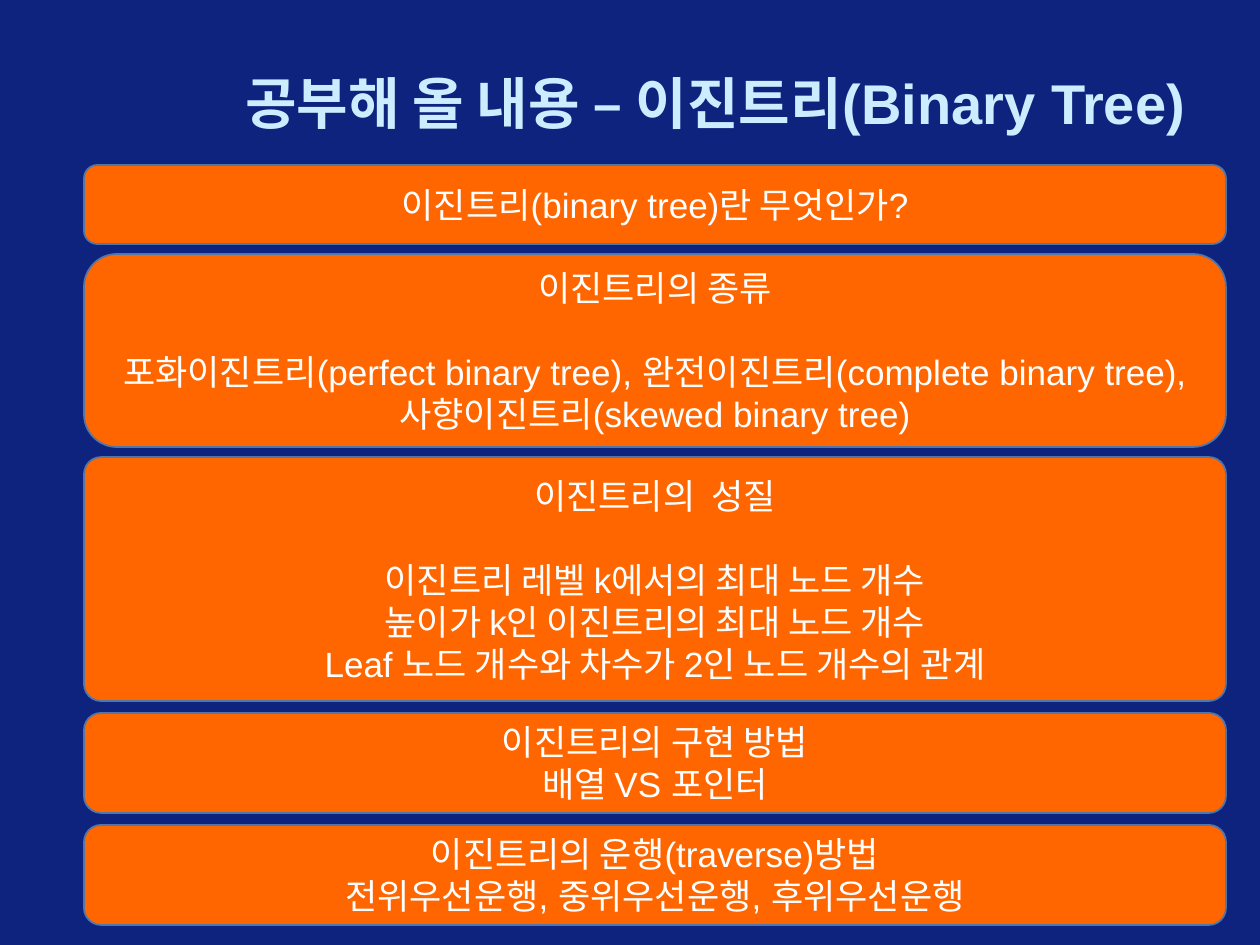
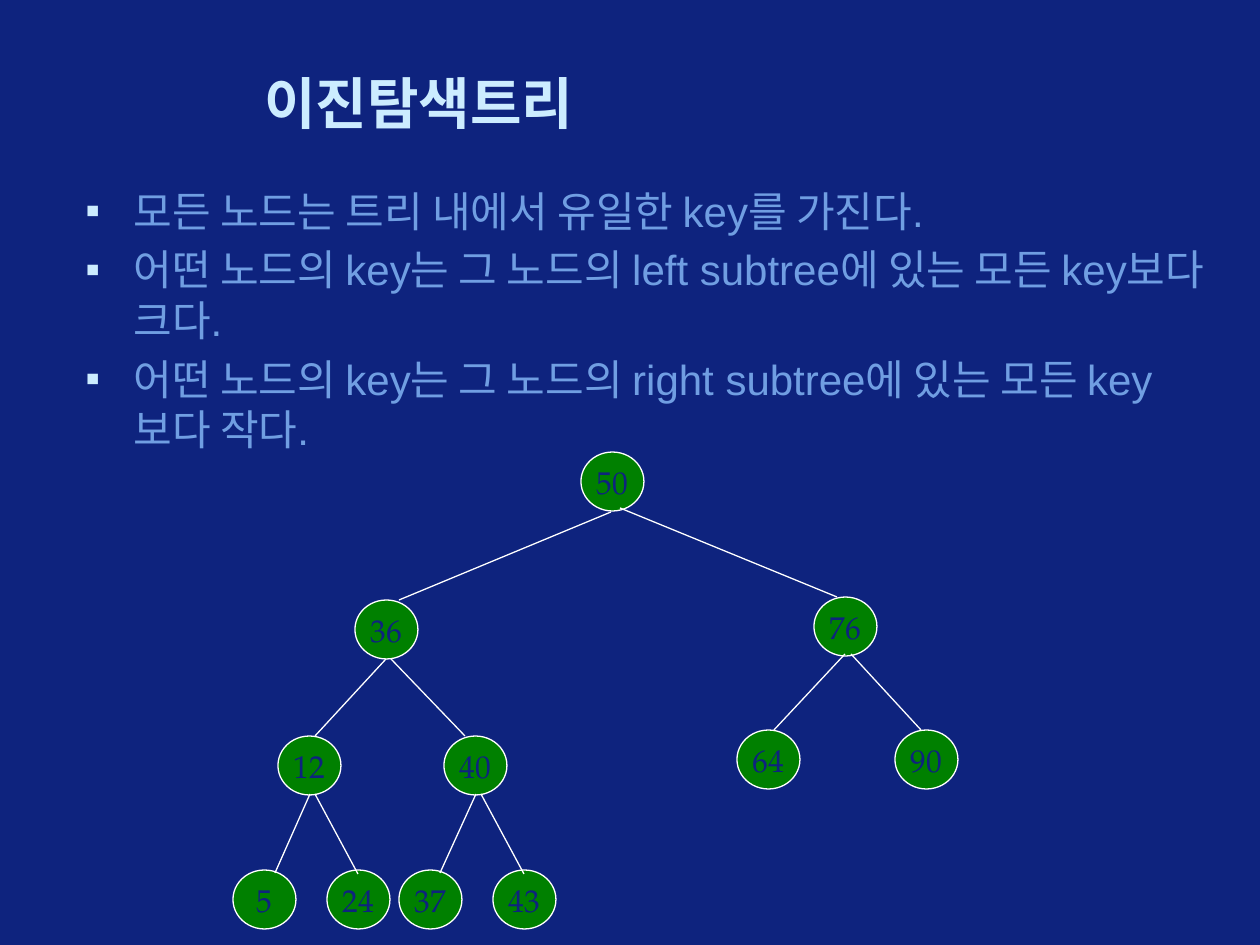
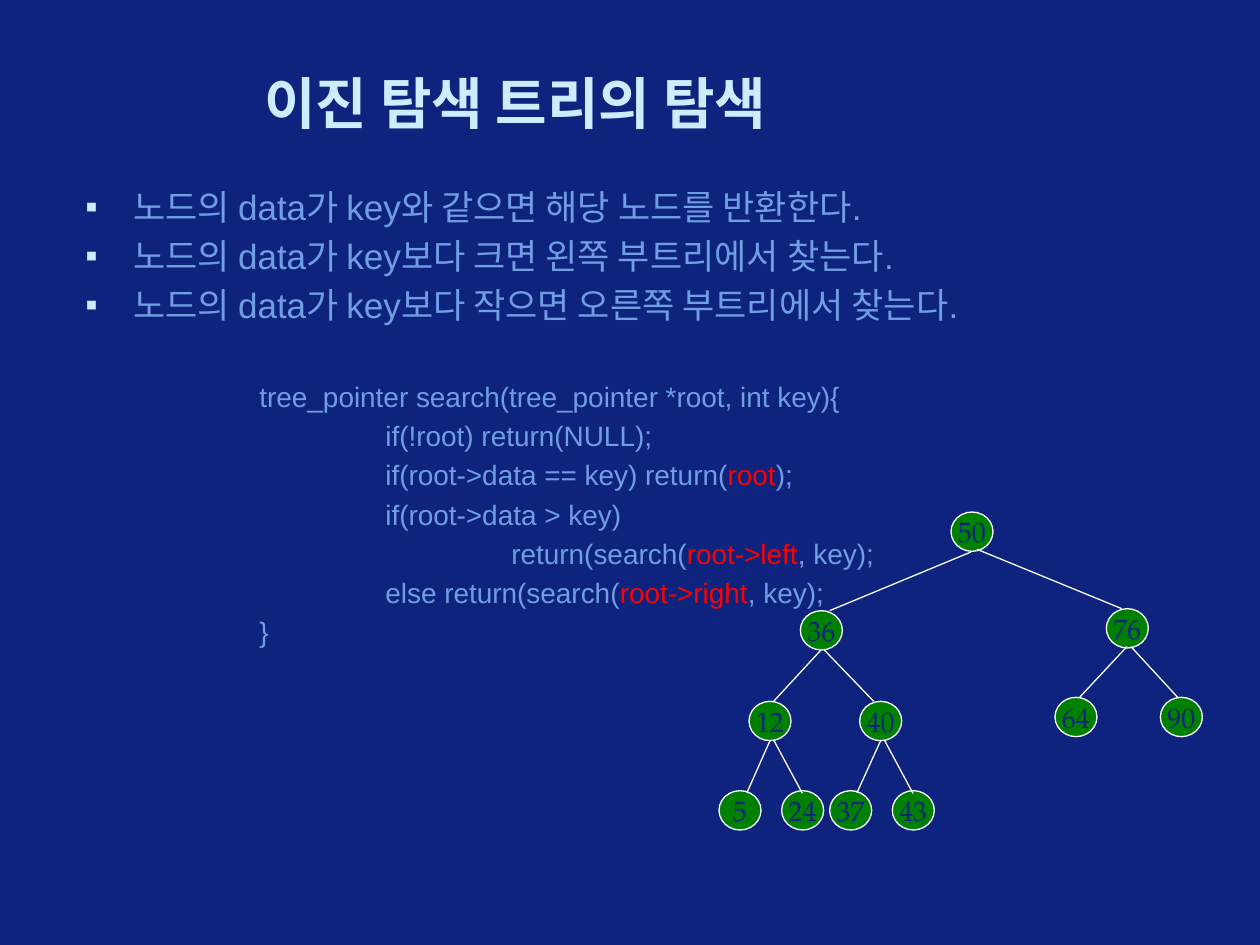
from lxml.etree import SubElement
from pptx import Presentation
from pptx.dml.color import RGBColor
from pptx.enum.shapes import MSO_CONNECTOR as Connector, MSO_SHAPE as Shape
from pptx.enum.text import MSO_ANCHOR as Anchor, PP_ALIGN as Align
from pptx.oxml.ns import qn
from pptx.util import Pt

# Shared look
NAVY, ICE, SKY = "0E237E", "CCECFF", "709EE2"
ORANGE, BOX_LINE = "FF6600", "5375A7"
GREEN, WHITE, RED = "008000", "FFFFFF", "FF0000"
SANS, SERIF = "Arial", "TeX Gyre Pagella"
color = RGBColor.from_string


def px(pixels):
    return round(pixels * 914400 / 126)


def add_run(paragraph, text, size, hex_color, font=SANS, bold=False):
    run = paragraph.add_run()
    run.text = text
    run.font.name = font
    run.font.size = Pt(size)
    run.font.bold = bold
    run.font.color.rgb = color(hex_color)


presentation = Presentation()
presentation.slide_width, presentation.slide_height = px(1260), px(945)

# Backgrounds and titles: text, left, width
titles = [
    ("공부해 올 내용 – 이진트리(Binary Tree)", 233, 1003),
    ("이진탐색트리", 252, 955),
    ("이진 탐색 트리의 탐색", 252, 955),
]
slides = []
for text, left, width in titles:
    slide = presentation.slides.add_slide(presentation.slide_layouts[6])
    slide.background.fill.solid()
    slide.background.fill.fore_color.rgb = color(NAVY)
    title = slide.shapes.add_textbox(px(left), px(63), px(width), px(78))
    title.text_frame.word_wrap = True
    title.text_frame.vertical_anchor = Anchor.MIDDLE
    add_run(title.text_frame.paragraphs[0], text, 32, ICE, bold=True)
    slides.append(slide)

# Slide 1, topic boxes: top, height, corner, heading, gap below it in points, lines
topics = [
    (165, 79, 0.17, "이진트리(binary tree)란 무엇인가?", 0, []),
    (254, 193, 0.17, "이진트리의 종류", 24,
     ["포화이진트리(perfect binary tree), 완전이진트리(complete binary tree),",
      "사향이진트리(skewed binary tree)"]),
    (457, 244, 0.07, "이진트리의  성질", 24,
     ["이진트리 레벨 k에서의 최대 노드 개수",
      "높이가 k인 이진트리의 최대 노드 개수",
      "Leaf 노드 개수와 차수가 2인 노드 개수의 관계"]),
    (713, 100, 0.17, "이진트리의 구현 방법", 0, ["배열 VS 포인터"]),
    (825, 100, 0.17, "이진트리의 운행(traverse)방법", 0,
     ["전위우선운행, 중위우선운행, 후위우선운행"]),
]
for top, height, corner, heading, gap, lines in topics:
    box = slides[0].shapes.add_shape(
        Shape.ROUNDED_RECTANGLE, px(84), px(top), px(1142), px(height))
    box.adjustments[0] = corner
    box.shadow.inherit = False
    box.fill.solid()
    box.fill.fore_color.rgb = color(ORANGE)
    box.line.color.rgb = color(BOX_LINE)
    box.line.width = Pt(1)
    frame = box.text_frame
    frame.word_wrap = True
    frame.vertical_anchor = Anchor.MIDDLE
    for index, line in enumerate([heading] + lines):
        paragraph = frame.paragraphs[0] if index == 0 else frame.add_paragraph()
        paragraph.alignment = Align.CENTER
        paragraph.space_before = Pt(gap if index == 1 else 0)
        add_run(paragraph, line, 20, WHITE)

# Slides 2 and 3, bullets and code: size, bullets, code lines as (level, runs)
code = [
    (0, [("tree_pointer search(tree_pointer *root, int key){", SKY)]),
    (1, [("if(!root) return(NULL);", SKY)]),
    (1, [("if(root->data == key) return(", SKY), ("root", RED), (");", SKY)]),
    (1, [("if(root->data > key)", SKY)]),
    (2, [("return(search(", SKY), ("root->left", RED), (", key);", SKY)]),
    (1, [("else return(search(", SKY), ("root->right", RED), (", key);", SKY)]),
    (0, [("}", SKY)]),
]
bodies = [
    (24, ["모든 노드는 트리 내에서 유일한 key를 가진다.",
          "어떤 노드의 key는 그 노드의 left subtree에 있는 모든 key보다 크다.",
          "어떤 노드의 key는 그 노드의 right subtree에 있는 모든 key보다 작다."], []),
    (20, ["노드의 data가 key와 같으면 해당 노드를 반환한다.",
          "노드의 data가 key보다 크면 왼쪽 부트리에서 찾는다.",
          "노드의 data가 key보다 작으면 오른쪽 부트리에서 찾는다."], code),
]
for slide, (size, bullets, code_lines) in zip(slides[1:], bodies):
    frame = slide.shapes.add_textbox(px(73), px(179), px(1144), px(651)).text_frame
    frame.word_wrap = True
    for index, text in enumerate(bullets):
        paragraph = frame.paragraphs[0] if index == 0 else frame.add_paragraph()
        paragraph.space_before = Pt(size * 0.2 if index else 0)
        add_run(paragraph, text, size, SKY)
        properties = paragraph._p.get_or_add_pPr()
        properties.set("marL", str(px(48)))
        properties.set("indent", str(px(-48)))
        bullet_color = SubElement(properties, qn("a:buClr"))
        SubElement(bullet_color, qn("a:srgbClr")).set("val", ICE)
        SubElement(properties, qn("a:buFont")).set("typeface", SANS)
        SubElement(properties, qn("a:buChar")).set("char", "▪")
    for index, (level, runs) in enumerate(code_lines):
        paragraph = frame.add_paragraph()
        paragraph.space_before = Pt(3.2 if index else 31)
        paragraph._p.get_or_add_pPr().set("marL", str(px(174 + 126 * level)))
        for text, hex_color in runs:
            add_run(paragraph, text, 16, hex_color)

# Search tree, drawn on slide 2 and at two thirds on slide 3
nodes = [
    ("50", 581, 452), ("36", 355, 600), ("76", 814, 597),
    ("12", 278, 736), ("40", 444, 736), ("64", 737, 730), ("90", 895, 730),
    ("5", 233, 870), ("24", 327, 870), ("37", 399, 870), ("43", 493, 870),
]
edges = [
    (611, 512, 399, 600), (620, 508, 837, 597),
    (386, 659, 315, 736), (391, 659, 465, 736),
    (845, 654, 774, 730), (851, 654, 921, 730),
    (310, 794, 275, 873), (315, 794, 358, 874),
    (476, 794, 440, 873), (481, 794, 524, 874),
]
root_left, root_top = nodes[0][1:]
trees = [(slides[1], 581, 452, 1, 18), (slides[2], 951, 512, 2 / 3, 16)]
for slide, left, top, zoom, size in trees:
    group = slide.shapes.add_group_shape()
    for key, x, y in nodes:
        node = group.shapes.add_shape(
            Shape.OVAL,
            px(left + (x - root_left) * zoom), px(top + (y - root_top) * zoom),
            px(63 * zoom), px(59 * zoom))
        node.shadow.inherit = False
        node.fill.solid()
        node.fill.fore_color.rgb = color(GREEN)
        node.line.color.rgb = color(WHITE)
        node.line.width = Pt(0.75)
        node.text_frame.word_wrap = False
        node.text_frame.vertical_anchor = Anchor.MIDDLE
        paragraph = node.text_frame.paragraphs[0]
        paragraph.alignment = Align.CENTER
        add_run(paragraph, key, size, NAVY, SERIF)
    for x1, y1, x2, y2 in edges:
        edge = group.shapes.add_connector(
            Connector.STRAIGHT,
            px(left + (x1 - root_left) * zoom), px(top + (y1 - root_top) * zoom),
            px(left + (x2 - root_left) * zoom), px(top + (y2 - root_top) * zoom))
        edge.line.color.rgb = color(WHITE)
        edge.line.width = Pt(0.75)
        SubElement(edge._element.spPr, qn("a:effectLst"))

presentation.save("out.pptx")
